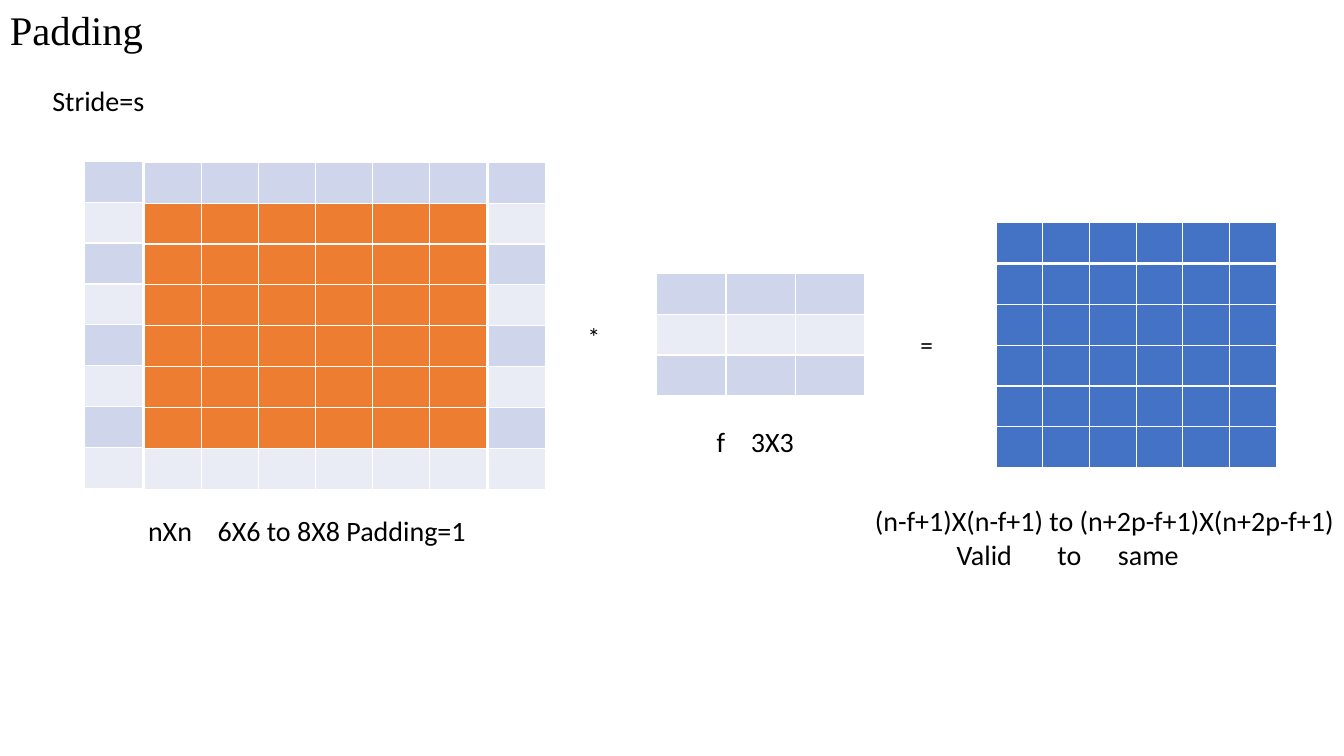
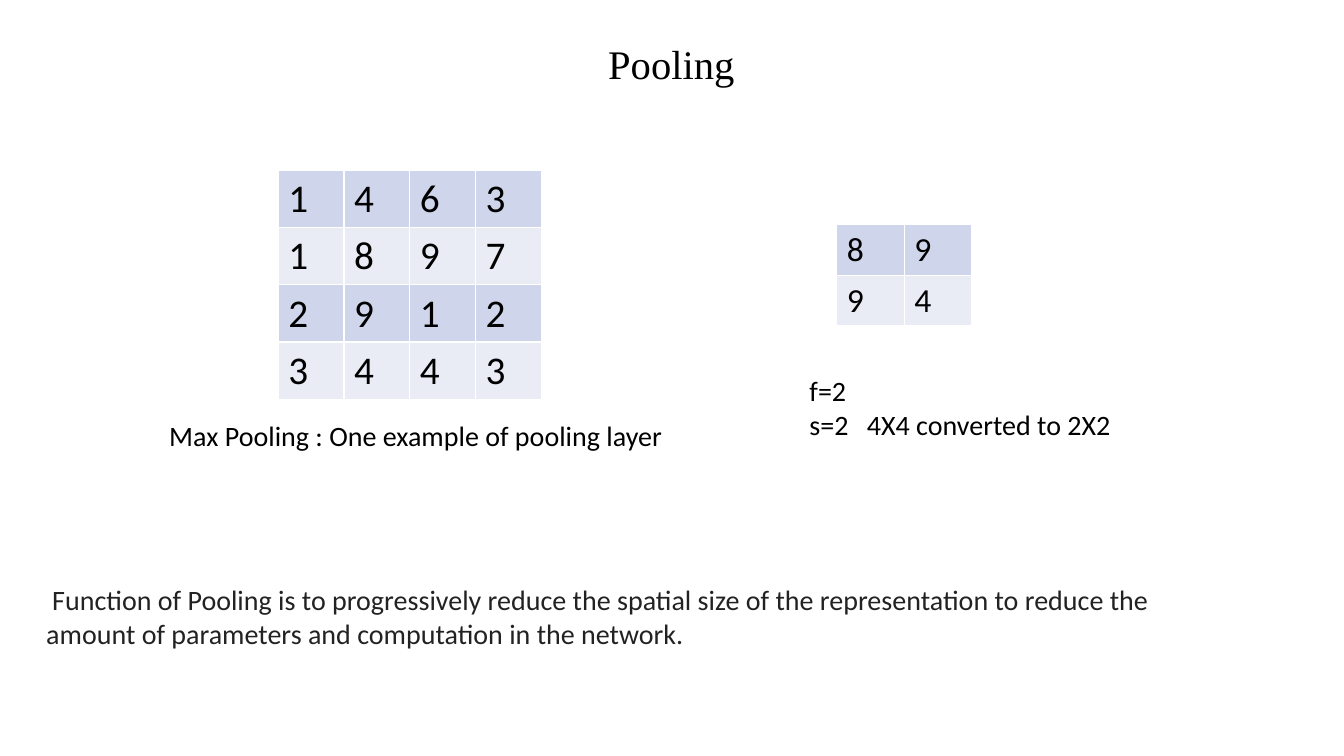
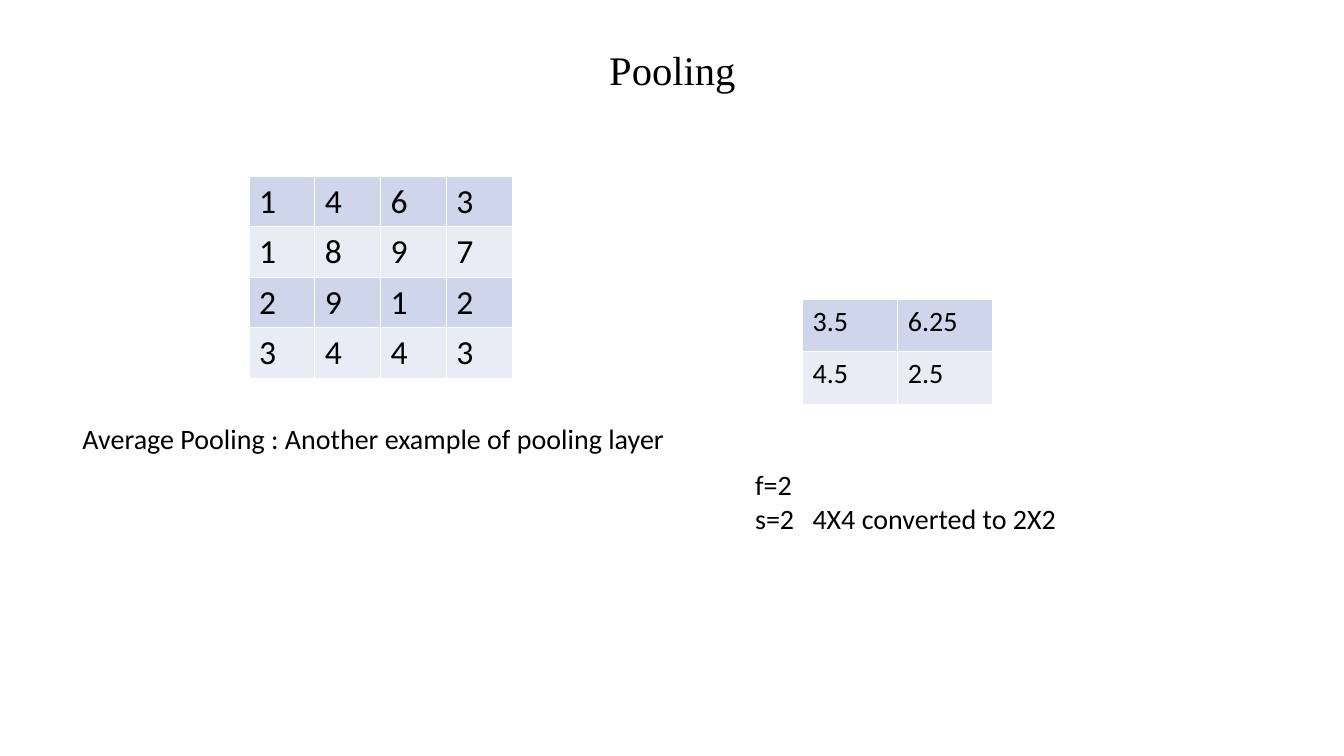
from dataclasses import dataclass

from lxml import etree
from pptx import Presentation
from pptx import util as u
from pptx.dml import color
from pptx.enum import text
from pptx.oxml import ns

Inches = u.Inches
ALIGN = text.PP_ALIGN


@dataclass(frozen=True)
class Theme:
    # Colours
    ink: str = "000000"
    soft_ink: str = "222222"
    rule: str = "FFFFFF"
    band_dark: str = "CFD5EA"
    band_light: str = "E9EBF5"
    orange: str = "ED7D31"
    blue: str = "4472C4"
    # Fonts and type sizes
    body_font: str = "Calibri"
    title_font: str = "Times New Roman"
    title: int = 29
    body: int = 20
    sign: int = 18
    # Cell border widths in points
    thin: int = 1
    thick: int = 3

    def bands(self, count):
        return [self.band_light if row % 2 else self.band_dark for row in range(count)]


class Board:
    """Holds the theme and the current slide."""

    def __init__(self, theme):
        self.theme = theme
        self.deck = Presentation()
        self.deck.slide_width = Inches(13.33)
        self.deck.slide_height = Inches(7.5)
        self.page = None

    def new_page(self):
        self.page = self.deck.slides.add_slide(self.deck.slide_layouts[6])

    def style(self, para, size, font=None, ink=None):
        for span in para.runs:
            span.font.size = u.Pt(size)
            span.font.name = font or self.theme.body_font
            span.font.color.rgb = color.RGBColor.from_string(ink or self.theme.ink)

    def label(self, at, lines, size=None, font=None, ink=None,
              aligns=(ALIGN.LEFT,), tabs=(), indent=0):
        box = self.page.shapes.add_textbox(*map(Inches, at))
        frame = box.text_frame
        frame.word_wrap = True
        frame.auto_size = text.MSO_AUTO_SIZE.SHAPE_TO_FIT_TEXT
        frame.text = lines
        for index, para in enumerate(frame.paragraphs):
            para.alignment = aligns[index % len(aligns)]
            props = para._p.get_or_add_pPr()
            if indent:
                props.set("marL", "0")
                props.set("indent", str(Inches(indent)))
            if "\t" in para.text:
                stops = etree.SubElement(props, ns.qn("a:tabLst"))
                for stop in tabs:
                    etree.SubElement(stops, ns.qn("a:tab"), pos=str(Inches(stop)), algn="l")
            self.style(para, size or self.theme.body, font, ink)

    def title(self, at, words, align=ALIGN.LEFT):
        self.label(at, words, self.theme.title, self.theme.title_font, aligns=(align,))

    def border(self, cell, side, width):
        line = etree.SubElement(cell._tc.get_or_add_tcPr(), ns.qn("a:ln" + side),
                                w=str(u.Pt(width)))
        fill = etree.SubElement(line, ns.qn("a:solidFill"))
        etree.SubElement(fill, ns.qn("a:srgbClr"), val=self.theme.rule)

    def grid(self, at, columns, fills, values=None, size=None, heavy_top=False):
        """Table of equal cells, with one fill colour for each row."""
        theme = self.theme
        left, top, width, height = map(Inches, at)
        table = self.page.shapes.add_table(len(fills), columns, left, top, width, height).table
        table.first_row = table.horz_banding = False
        for column in table.columns:
            column.width = width // columns
        for row, fill in enumerate(fills):
            table.rows[row].height = height // len(fills)
            for column in range(columns):
                cell = table.cell(row, column)
                for side in "LRTB":
                    heavy = heavy_top and (row, side) in ((0, "B"), (1, "T"))
                    self.border(cell, side, theme.thick if heavy else theme.thin)
                cell.fill.solid()
                cell.fill.fore_color.rgb = color.RGBColor.from_string(fill)
                if values:
                    cell.text_frame.text = values[row][column]
                    self.style(cell.text_frame.paragraphs[0], size)


def padding_page(board):
    theme = board.theme
    board.new_page()

    # Padded input: centre block with a column on either side
    board.grid((1.43, 1.61, 3.4, 3.24), 6,
               [theme.band_dark] + [theme.orange] * 6 + [theme.band_light])
    for left, top in ((0.84, 1.6), (4.84, 1.61)):
        board.grid((left, top, 0.57, 3.24), 1, theme.bands(8))
    board.label((1.37, 5.05, 4.36, 0.44), "nXn\t6X6 to 8X8 Padding=1", tabs=(0.69,))

    # Filter
    board.grid((6.51, 2.71, 2.07, 1.22), 3, theme.bands(3))
    board.label((5.73, 3.14, 0.38, 0.4), "*", theme.sign)
    board.label((9.03, 3.22, 0.39, 0.4), "=", theme.sign)
    board.label((7.01, 4.16, 1.55, 0.44), "f\t3X3", tabs=(0.34,))

    # Result
    board.grid((9.88, 2.21, 2.78, 2.43), 6, [theme.blue] * 6, heavy_top=True)
    board.label((7.86, 4.95, 5.47, 0.77),
                "(n-f+1)X(n-f+1) to (n+2p-f+1)X(n+2p-f+1)\n\tValid\tto\tsame",
                aligns=(ALIGN.RIGHT, ALIGN.LEFT), tabs=(1.53, 2.53, 3.13))

    # Headings
    board.label((0.42, 0.78, 3.22, 0.44), "Stride=s")
    board.title((0, 0, 5.8, 0.59), "Padding")


def pooling_page(board, title_at, source_at, source_size, caption_at, caption,
                 pooled_at, pooled, pooled_size, note_at):
    bands = board.theme.bands
    board.new_page()
    board.title((*title_at, 5.2, 0.59), "Pooling", ALIGN.CENTER)
    board.grid(source_at, 4, bands(4), ("1463", "1897", "2912", "3443"), source_size)
    board.label(caption_at, caption)
    board.grid(pooled_at, 2, bands(2), pooled, pooled_size)
    board.label((*note_at, 3.78, 0.77), "f=2\ns=2\t4X4 converted to 2X2", tabs=(0.57,))


def main():
    board = Board(Theme())
    padding_page(board)

    # Max pooling
    pooling_page(board, (4.06, 0.34), (2.76, 1.69, 2.61, 2.27), 28,
                 (1.58, 4.1, 5.12, 0.44), "Max Pooling : One example of pooling layer",
                 (8.3, 2.23, 1.34, 1), ("89", "94"), 24, (7.93, 3.66))
    board.label((0.36, 5.73, 11.79, 0.77),
                "Function of Pooling is to progressively reduce the spatial size of the "
                "representation to reduce the amount of parameters and computation in the "
                "network.", ink=board.theme.soft_ink, indent=0.06)

    # Average pooling
    pooling_page(board, (4.07, 0.4), (2.47, 1.75, 2.61, 2), 24,
                 (0.72, 4.13, 6.2, 0.44), "Average Pooling : Another example of pooling layer",
                 (7.96, 2.97, 1.89, 1.04), (("3.5", "6.25"), ("4.5", "2.5")), 20,
                 (7.39, 4.59))

    board.deck.save("out.pptx")


if __name__ == "__main__":
    main()
